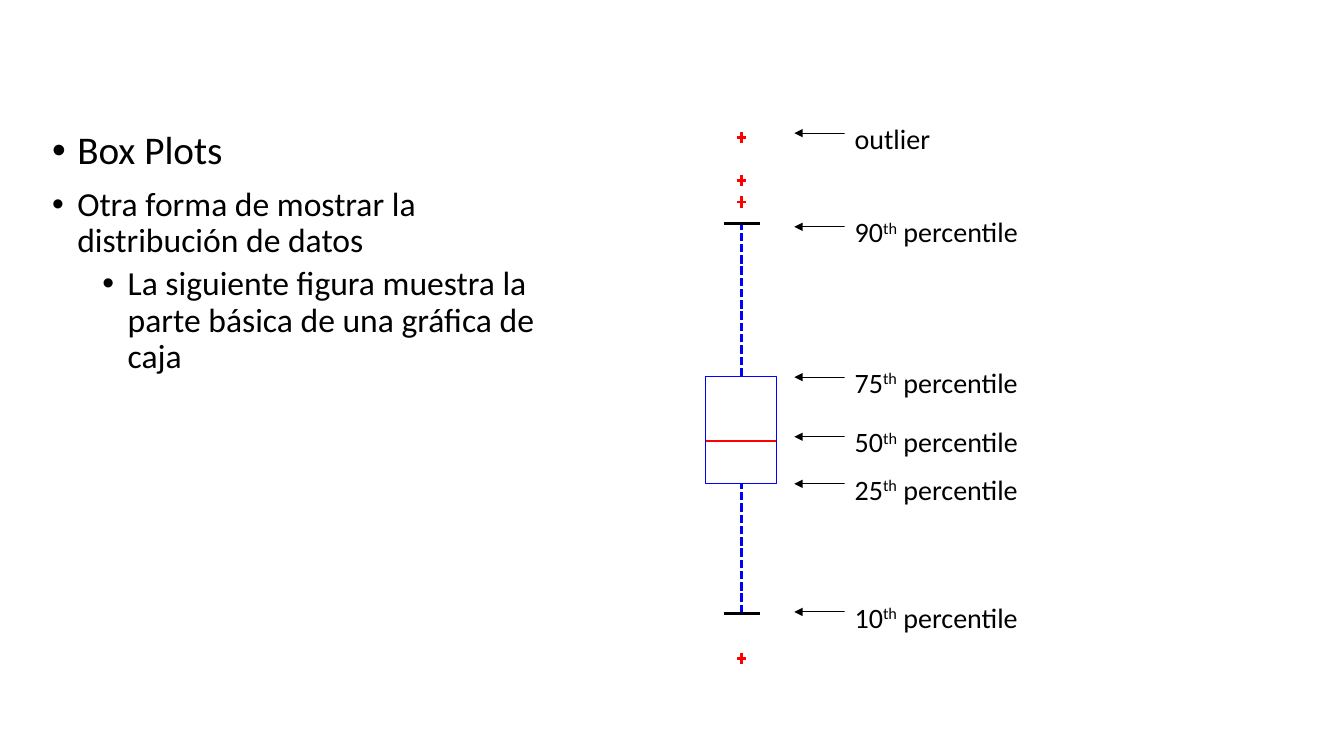
from dataclasses import dataclass

from lxml.etree import SubElement
from pptx import Presentation
from pptx.dml.color import RGBColor
from pptx.enum.dml import MSO_LINE_DASH_STYLE as Dash
from pptx.enum.shapes import MSO_CONNECTOR as Connector, MSO_SHAPE as Preset
from pptx.enum.text import MSO_ANCHOR as Anchor, MSO_AUTO_SIZE as AutoSize, PP_ALIGN as Align
from pptx.oxml.ns import qn
from pptx.util import Inches, Pt


@dataclass(frozen=True)
class Theme:
    font: str = "Calibri"
    bullet_font: str = "Arial"
    ink: str = "000000"
    paper: str = "FFFFFF"
    box: str = "0000FF"
    mark: str = "FF0000"
    heading: int = 28
    body: int = 24
    label: int = 20
    hairline: float = 0
    arrow: float = 0.75


class BoxPlotSlide:
    """Draws elements on a slide with a grid of 160 columns by 90 rows."""

    columns, rows = 160, 90

    def __init__(self, presentation, theme):
        self.theme = theme
        self.column = presentation.slide_width / self.columns
        self.row = presentation.slide_height / self.rows
        self.slide = presentation.slides.add_slide(presentation.slide_layouts[1])
        title = self.slide.shapes.title._element
        title.getparent().remove(title)
        self.plot = self.slide.shapes.add_group_shape().shapes

    def place(self, left, top, width, height):
        return [round(length) for length in (left * self.column, top * self.row,
                                             width * self.column, height * self.row)]

    def apply(self, target, formats):
        for name, value in formats.items():
            setattr(target, name, value)

    def add_text(self, paragraph, text, size, baseline=0):
        run = paragraph.add_run()
        run.text = text
        self.apply(run.font, {"name": self.theme.font, "size": Pt(size)})
        run.font.color.rgb = RGBColor.from_string(self.theme.ink)
        if baseline:
            run._r.get_or_add_rPr().set("baseline", str(baseline * 1000))

    def bullets(self, area, items):
        body = self.slide.placeholders[1]
        self.apply(body, dict(zip(("left", "top", "width", "height"), self.place(*area))))
        frame = body.text_frame
        self.apply(frame, {"word_wrap": True, "auto_size": AutoSize.NONE,
                           "vertical_anchor": Anchor.TOP})
        for index, (text, level, size) in enumerate(items):
            paragraph = frame.add_paragraph() if index else frame.paragraphs[0]
            self.apply(paragraph, {"level": level, "line_spacing": 0.9,
                                   "space_before": Pt(5 if level else 10)})
            properties = paragraph._p.get_or_add_pPr()
            properties.set("marL", str(Inches(0.25 + 0.5 * level)))
            properties.set("indent", str(Inches(-0.25)))
            SubElement(properties, qn("a:buFont")).set("typeface", self.theme.bullet_font)
            SubElement(properties, qn("a:buChar")).set("char", "•")
            self.add_text(paragraph, text, size)

    def outline(self, line, color, width):
        line.color.rgb = RGBColor.from_string(color)
        line.width = Pt(width)

    def line(self, shapes, start, end, color, width=None, dash=None, head=None):
        points = self.place(*start, *end)
        connector = shapes.add_connector(Connector.STRAIGHT, *points)
        self.outline(connector.line, color, self.theme.hairline if width is None else width)
        if dash:
            connector.line.dash_style = dash
        if head:
            SubElement(connector.line._get_or_add_ln(), qn("a:headEnd")).set("type", head)
        SubElement(connector._element.spPr, qn("a:effectLst"))

    def box(self, area):
        shape = self.plot.add_shape(Preset.RECTANGLE, *self.place(*area))
        shape.shadow.inherit = False
        shape.fill.background()
        self.outline(shape.line, self.theme.box, self.theme.hairline)

    def cross(self, x, y):
        for across, down in ((0.5, 0), (0, 0.66)):
            self.line(self.plot, (x - across, y - down), (x + across, y + down), self.theme.mark)

    def callout(self, y, width, height, parts):
        tip, tail = 94.56, 100.56
        self.line(self.slide.shapes, (tip, y), (tail, y), self.theme.ink,
                  self.theme.arrow, head="triangle")
        area = self.place(tail, y - 2, width, height)
        shape = self.slide.shapes.add_shape(Preset.RECTANGLE, *area)
        shape.shadow.inherit = False
        shape.fill.solid()
        shape.fill.fore_color.rgb = RGBColor.from_string(self.theme.paper)
        shape.line.fill.background()
        self.apply(shape.text_frame, {"word_wrap": True, "vertical_anchor": Anchor.TOP})
        paragraph = shape.text_frame.paragraphs[0]
        paragraph.alignment = Align.LEFT
        for text, baseline in parts:
            self.add_text(paragraph, text, self.theme.label, baseline)


def main():
    presentation = Presentation()
    presentation.slide_width, presentation.slide_height = Inches(13.33), Inches(7.5)
    theme = Theme()
    page = BoxPlotSlide(presentation, theme)

    page.bullets((5, 15, 64, 64), [
        ("Box Plots", 0, theme.heading),
        ("Otra forma de mostrar la distribución de datos", 0, theme.body),
        ("La siguiente figura muestra la parte básica de una gráfica de caja", 1, theme.body),
    ])

    axis, box_left, box_width = 88.3, 84, 8.4
    high, upper, median, lower, low = 26.6, 44.8, 52.5, 57.6, 73
    for start, end in ((upper, high), (low, lower)):
        page.line(page.plot, (axis, start), (axis, end), theme.box, dash=Dash.SQUARE_DOT)
    for y in (low, high):
        page.line(page.plot, (axis - 2.15, y), (axis + 2.15, y), theme.ink)
    page.box((box_left, upper, box_width, lower - upper))
    page.line(page.plot, (box_left, median), (box_left + box_width, median), theme.mark)
    for y in (16.35, 24.05, 21.5, 78.35):
        page.cross(axis, y)

    page.callout(15.85, 15.5, 4.7, [("outlier", 0)])
    for number, y, width, height in (
        (10, 72.85, 26.5, 7.1),
        (25, 57.6, 25.5, 7.1),
        (75, 44.9, 26.5, 7),
        (50, 52, 24.5, 5.6),
        (90, 27, 24.5, 7.1),
    ):
        page.callout(y, width, height, [(str(number), 0), ("th", 30), (" percentile", 0)])

    presentation.save("out.pptx")


if __name__ == "__main__":
    main()
